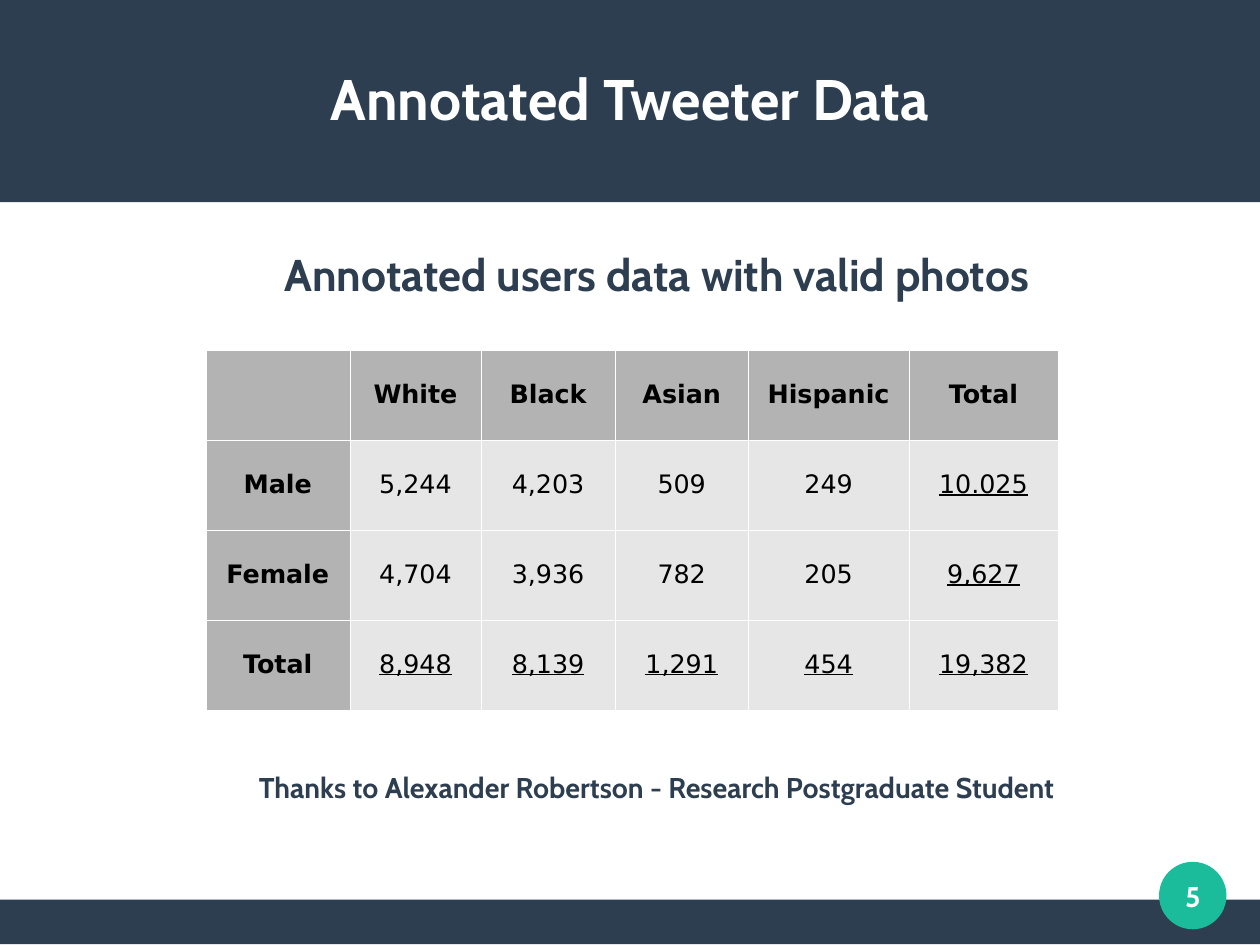
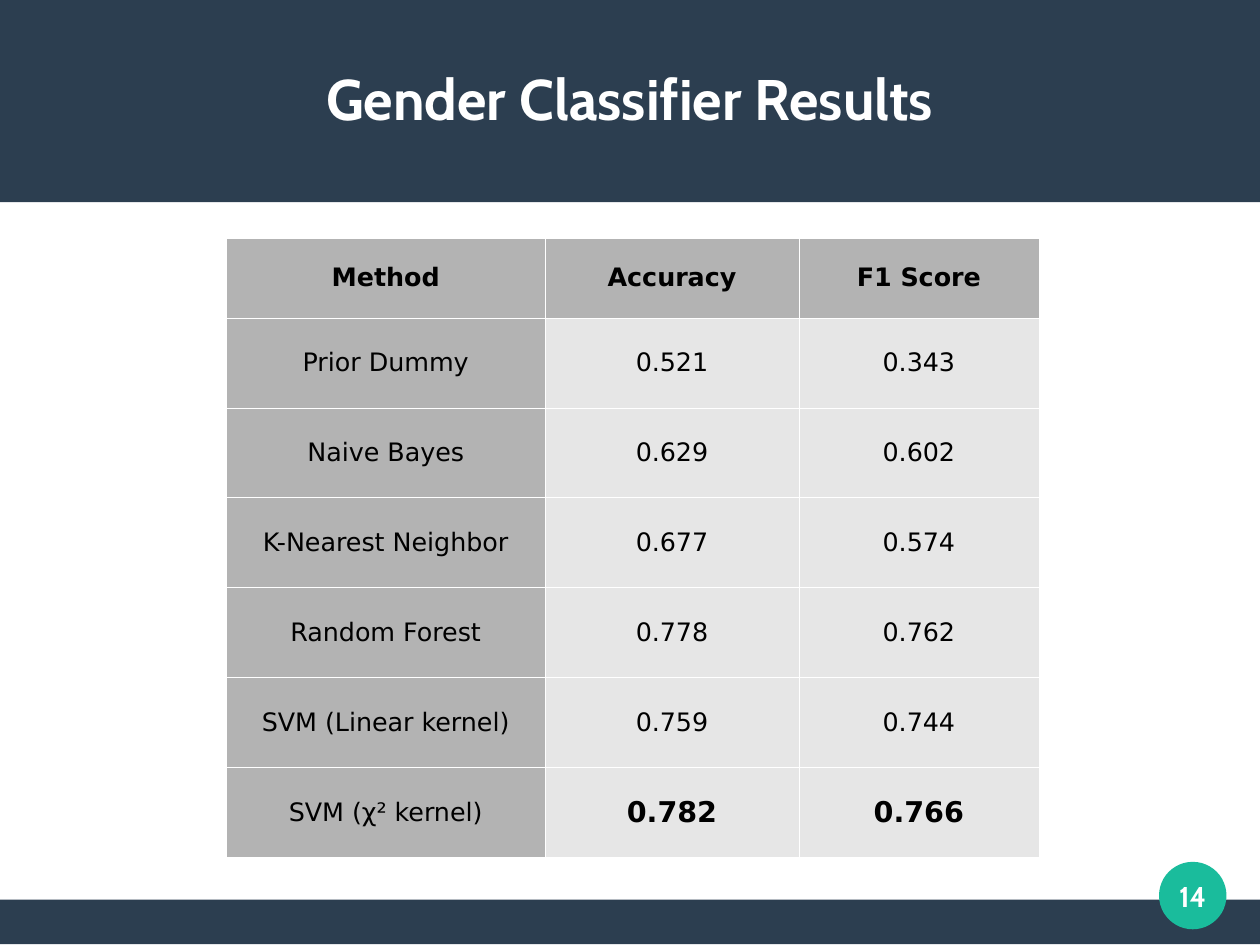
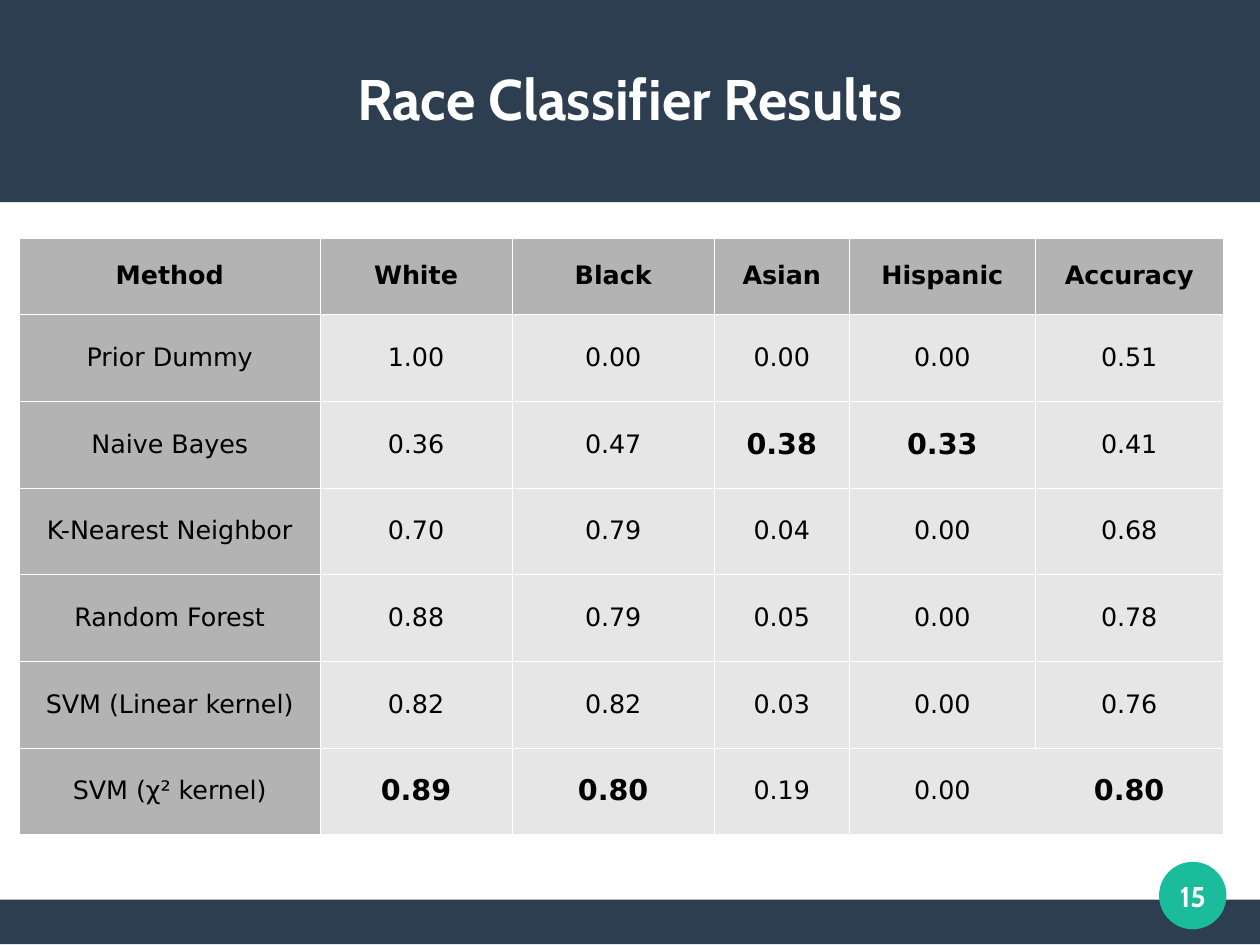
from pptx import Presentation
from pptx.dml.color import RGBColor
from pptx.enum.shapes import MSO_SHAPE
from pptx.enum.text import MSO_ANCHOR, PP_ALIGN
from pptx.oxml.ns import qn
from pptx.util import Inches, Pt
from lxml.etree import SubElement

CM_PER_INCH = 2.54
WIDTH, HEIGHT = 28 / CM_PER_INCH, 21 / CM_PER_INCH
COLORS = {
    "navy": "2C3E50",
    "teal": "1ABC9C",
    "white": "FFFFFF",
    "black": "000000",
    "header": "B3B3B3",
    "body": "E6E6E6",
}
HEADING_FONT, TABLE_FONT = "Cabin", "DejaVu Sans"
BORDER_WIDTH = Pt(0.06)

USER_ROWS = [
    ["", "White", "Black", "Asian", "Hispanic", "Total"],
    ["Male", "5,244", "4,203", "509", "249", "10.025"],
    ["Female", "4,704", "3,936", "782", "205", "9,627"],
    ["Total", "8,948", "8,139", "1,291", "454", "19,382"],
]
GENDER_ROWS = [
    ["Method", "Accuracy", "F1 Score"],
    ["Prior Dummy", "0.521", "0.343"],
    ["Naive Bayes", "0.629", "0.602"],
    ["K-Nearest Neighbor", "0.677", "0.574"],
    ["Random Forest", "0.778", "0.762"],
    ["SVM (Linear kernel)", "0.759", "0.744"],
    ["SVM (χ² kernel)", "0.782", "0.766"],
]
RACE_ROWS = [
    ["Method", "White", "Black", "Asian", "Hispanic", "Accuracy"],
    ["Prior Dummy", "1.00", "0.00", "0.00", "0.00", "0.51"],
    ["Naive Bayes", "0.36", "0.47", "0.38", "0.33", "0.41"],
    ["K-Nearest Neighbor", "0.70", "0.79", "0.04", "0.00", "0.68"],
    ["Random Forest", "0.88", "0.79", "0.05", "0.00", "0.78"],
    ["SVM (Linear kernel)", "0.82", "0.82", "0.03", "0.00", "0.76"],
    ["SVM (χ² kernel)", "0.89", "0.80", "0.19", "0.00", "0.80"],
]


def color(name):
    return RGBColor.from_string(COLORS[name])


def write_centered(text_frame, text, size, color_name, font_name, bold=True):
    text_frame.text = text
    paragraph = text_frame.paragraphs[0]
    paragraph.alignment = PP_ALIGN.CENTER
    for run in paragraph.runs:
        run.font.name = font_name
        run.font.size = Pt(size)
        run.font.bold = bold
        run.font.color.rgb = color(color_name)


def add_heading(slide, box, text, size, color_name):
    text_frame = slide.shapes.add_textbox(*map(Inches, box)).text_frame
    text_frame.word_wrap = True
    text_frame.margin_left = text_frame.margin_right = 0
    text_frame.margin_top = text_frame.margin_bottom = 0
    text_frame.vertical_anchor = MSO_ANCHOR.MIDDLE
    write_centered(text_frame, text, size, color_name, HEADING_FONT)


def add_filled_shape(slide, preset, box, color_name):
    shape = slide.shapes.add_shape(preset, *map(Inches, box))
    shape.shadow.inherit = False
    shape.fill.solid()
    shape.fill.fore_color.rgb = color(color_name)
    shape.line.fill.background()


def add_framed_slide(presentation, title, number):
    """Add a slide with the title band, footer band and number badge."""
    slide = presentation.slides.add_slide(presentation.slide_layouts[6])
    add_filled_shape(slide, MSO_SHAPE.RECTANGLE, (0, 7.87, WIDTH, 0.39), "navy")
    add_filled_shape(slide, MSO_SHAPE.RECTANGLE, (0, 0, WIDTH, 1.77), "navy")
    add_filled_shape(slide, MSO_SHAPE.OVAL, (10.14, 7.54, 0.59, 0.59), "teal")
    add_heading(slide, (0.39, 0.33, 10.24, 1.05), title, 36, "white")
    add_heading(slide, (10.04, 7.44, 0.79, 0.79), str(number), 18, "white")
    return slide


def set_borders(cell, open_sides):
    """Draw white cell edges, leaving the open sides without a line."""
    properties = cell._tc.get_or_add_tcPr()
    for side in "LRTB":
        line = SubElement(properties, qn(f"a:ln{side}"), w=str(int(BORDER_WIDTH)))
        if side in open_sides:
            SubElement(line, qn("a:noFill"))
        else:
            fill = SubElement(line, qn("a:solidFill"))
            SubElement(fill, qn("a:srgbClr"), val=COLORS["white"])


def add_data_table(slide, left, top, widths, height, header_height, rows,
                   best=(), bold_labels=False, underline_totals=False, open_sides=None):
    """Add a table with equal body rows; best and open_sides use (row, column)."""
    table = slide.shapes.add_table(
        len(rows), len(widths), Inches(left), Inches(top),
        Inches(sum(widths)), Inches(height)).table
    table.first_row = table.horz_banding = False
    for column, width in zip(table.columns, widths):
        column.width = Inches(width)
    for row in table.rows:
        row.height = Inches((height - header_height) / (len(rows) - 1))
    table.rows[0].height = Inches(header_height)

    for row_index, values in enumerate(rows):
        for column_index, value in enumerate(values):
            position = (row_index, column_index)
            is_label = 0 in position
            is_best = position in best
            cell = table.cell(*position)
            set_borders(cell, (open_sides or {}).get(position, ""))
            cell.fill.solid()
            cell.fill.fore_color.rgb = color("header" if is_label else "body")
            cell.vertical_anchor = MSO_ANCHOR.MIDDLE
            bold = is_best or row_index == 0 or (bold_labels and is_label)
            write_centered(cell.text_frame, value, 18 if is_best else 16,
                           "black", TABLE_FONT, bold)
            is_total = "Total" in (values[0], rows[0][column_index])
            if underline_totals and is_total and not is_label:
                cell.text_frame.paragraphs[0].runs[0].font.underline = True


def build_user_data(presentation):
    slide = add_framed_slide(presentation, "Annotated Tweeter Data", 5)
    add_heading(slide, (0.86, 2.16, 9.77, 0.47),
                "Annotated users data with valid photos", 28, "navy")
    add_data_table(slide, 1.8, 3.06, [1.26, 1.15, 1.17, 1.17, 1.4, 1.31],
                   3.15, 0.79, USER_ROWS, bold_labels=True, underline_totals=True)
    add_heading(slide, (0.86, 6.74, 9.77, 0.3),
                "Thanks to Alexander Robertson - Research Postgraduate Student", 18, "navy")


def build_gender_results(presentation):
    slide = add_framed_slide(presentation, "Gender Classifier Results", 14)
    add_data_table(slide, 1.98, 2.08, [2.79, 2.22, 2.1], 5.42, 0.7,
                   GENDER_ROWS, best={(6, 1), (6, 2)})


def build_race_results(presentation):
    slide = add_framed_slide(presentation, "Race Classifier Results", 15)
    add_data_table(slide, 0.17, 2.08, [2.63, 1.68, 1.77, 1.18, 1.63, 1.64], 5.22, 0.67,
                   RACE_ROWS, best={(2, 3), (2, 4), (6, 1), (6, 2), (6, 5)},
                   open_sides={(6, 4): "R", (6, 5): "L"})


def main():
    presentation = Presentation()
    presentation.slide_width = Inches(WIDTH)
    presentation.slide_height = Inches(HEIGHT)
    build_user_data(presentation)
    build_gender_results(presentation)
    build_race_results(presentation)
    presentation.save("out.pptx")


if __name__ == "__main__":
    main()
